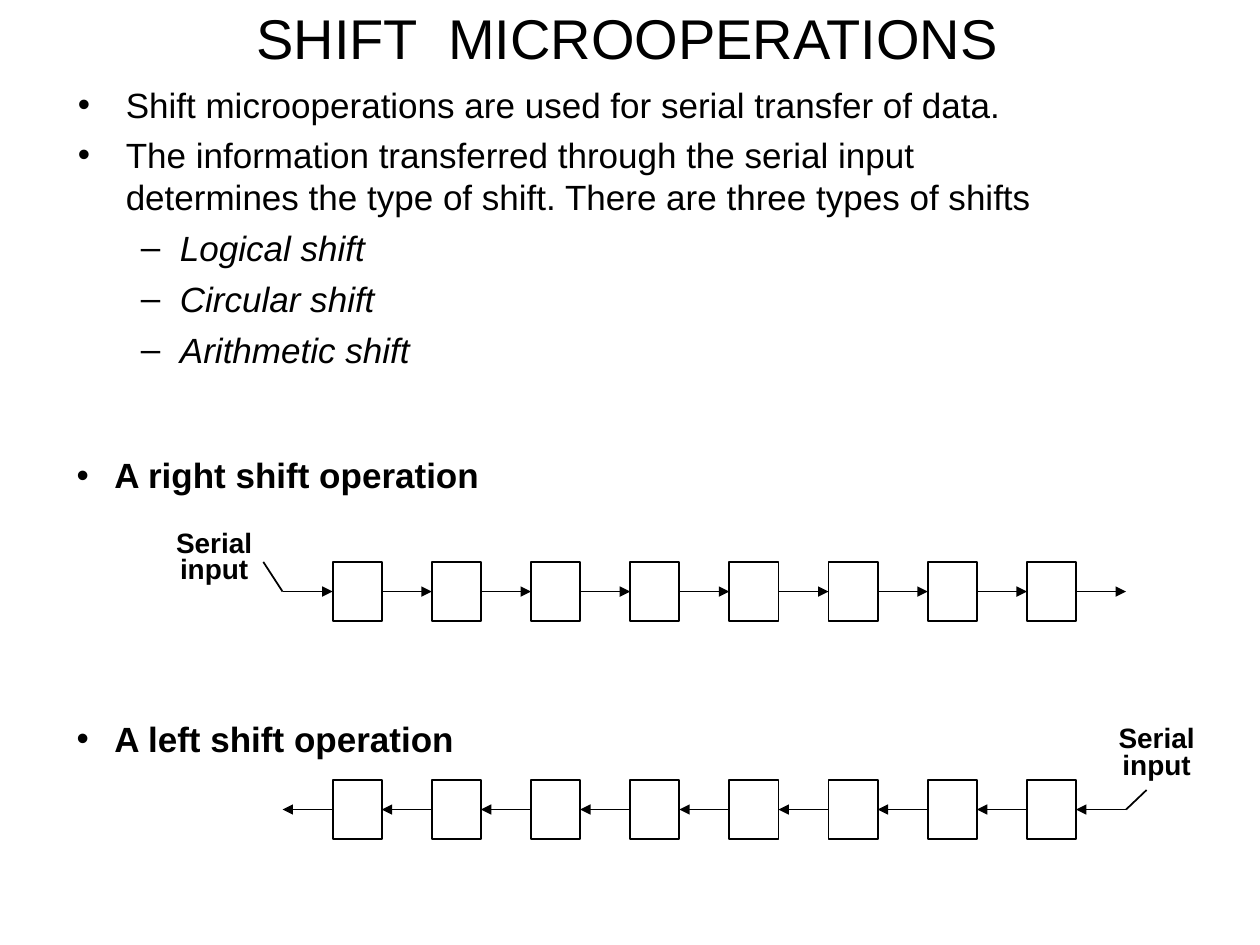
from lxml.etree import SubElement
from pptx import Presentation
from pptx.dml.color import RGBColor
from pptx.enum.shapes import MSO_CONNECTOR, MSO_SHAPE
from pptx.enum.text import MSO_ANCHOR, PP_ALIGN
from pptx.oxml.ns import qn
from pptx.util import Inches, Pt

hues = {"ink": "000000", "page": "FFFFFF"}
ink = RGBColor.from_string(hues["ink"])

deck = Presentation()
deck.slide_width, deck.slide_height = Inches(10), Inches(7.5)
slide = deck.slides.add_slide(deck.slide_layouts[6])
slide.background.fill.solid()
slide.background.fill.fore_color.rgb = RGBColor.from_string(hues["page"])


def add_text(area, lines, size, space=1.0, bold=False, align=PP_ALIGN.LEFT):
    box = slide.shapes.add_textbox(*[Inches(n) for n in area])
    frame = box.text_frame
    frame.word_wrap = True
    for i, (text, mark, left, hang, gap, slant) in enumerate(lines):
        para = frame.paragraphs[0] if i == 0 else frame.add_paragraph()
        para.alignment = align
        para.line_spacing = space
        para.space_before = Pt(gap)
        if mark:
            para.level = 1 if mark == "–" else 0
            props = para._p.get_or_add_pPr()
            props.set("marL", str(Inches(left)))
            props.set("indent", str(-Inches(hang)))
            SubElement(props, qn("a:buFont"), typeface="Arial")
            SubElement(props, qn("a:buChar"), char=mark)
        run = para.add_run()
        run.text = text
        run.font.name = "Arial"
        run.font.size = Pt(size)
        run.font.bold = bold
        run.font.italic = slant
        run.font.color.rgb = ink
    return frame


def add_line(start, end, arrow=True):
    line = slide.shapes.add_connector(
        MSO_CONNECTOR.STRAIGHT, *[Inches(n) for n in start + end])
    line.line.color.rgb = ink
    line.line.width = Pt(1)
    if arrow:
        SubElement(line.line._get_or_add_ln(), qn("a:tailEnd"), type="triangle")
    SubElement(line._element.spPr, qn("a:effectLst"))
    return line


title = add_text((0.49, 0, 8.98, 0.59), [("SHIFT  MICROOPERATIONS", "", 0, 0, 0, False)],
                 32, align=PP_ALIGN.CENTER)
title.vertical_anchor = MSO_ANCHOR.MIDDLE
title.margin_left = title.margin_right = Inches(0.07)
title.margin_top = title.margin_bottom = Inches(0.03)

points = [
    ("Shift microoperations are used for serial transfer of data.", "•", 0.38, 0.38, 0, False),
    ("The information transferred through the serial input determines the type of shift. "
     "There are three types of shifts", "•", 0.38, 0.38, 5, False),
]
for kind in ("Logical", "Circular", "Arithmetic"):
    points.append((f"{kind} shift", "–", 0.81, 0.31, 5, True))
add_text((0.52, 0.61, 8.1, 2.98), points, 20)

heads = [
    ("A right shift operation", "•", 0.3, 0.3, 0, False),
    ("A left shift operation", "•", 0.3, 0.3, 129, False),
]
add_text((0.51, 3.59, 5, 2.5), heads, 20, space=0.9, bold=True)

count, first, wide, high = 8, 2.64, 0.39, 0.47
step = 5.51 / (count - 1)
lead = step - wide
rows = [
    (4.46, True, (1.2, 4.17), (2.09, 4.46)),
    (6.19, False, (8.68, 5.72), (9.1, 6.27)),
]
for top, right, label, tip in rows:
    mid = top + high / 2
    cells = []
    for i in range(count):
        cell = slide.shapes.add_shape(
            MSO_SHAPE.RECTANGLE, Inches(first + i * step), Inches(top),
            Inches(wide), Inches(high))
        cell.shadow.inherit = False
        cell.fill.background()
        cell.line.color.rgb = ink
        cell.line.width = Pt(1)
        cells.append(cell)

    for i in range(count + 1):
        end = first + i * step
        ends = [(end - lead, mid), (end, mid)]
        if not right:
            ends.reverse()
        line = add_line(*ends)
        if i > 0:
            join = line.begin_connect if right else line.end_connect
            join(cells[i - 1], 3)
        if i < count:
            join = line.end_connect if right else line.begin_connect
            join(cells[i], 1)

    bend = first - lead if right else first + count * step
    add_line((bend, mid), tip, arrow=False)
    words = [(word, "", 0, 0, 0, False) for word in ("Serial", "input")]
    add_text(label + (1, 0.53), words, 16, space=0.8, bold=True, align=PP_ALIGN.CENTER)

deck.save("out.pptx")
